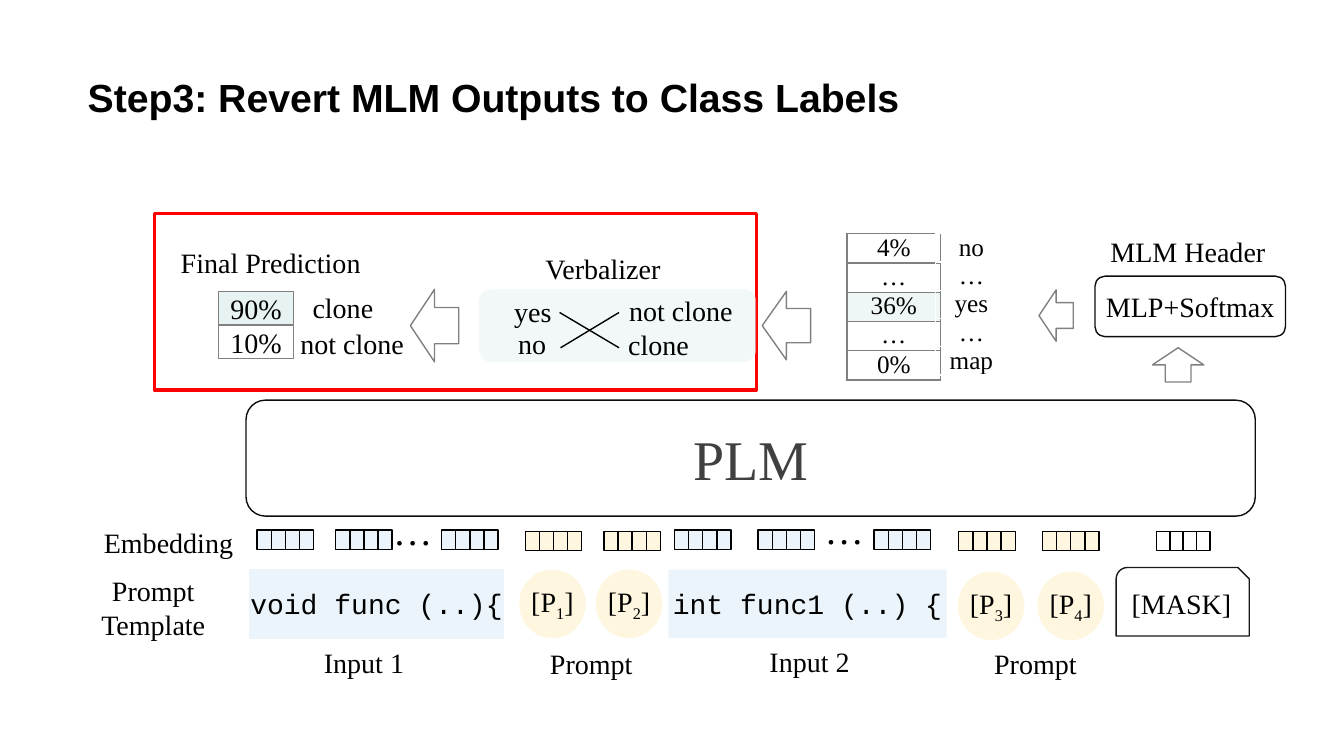
from dataclasses import dataclass

from lxml import etree
from pptx import Presentation
from pptx import util as u
from pptx.dml.color import RGBColor
from pptx.enum import shapes, text
from pptx.oxml.ns import qn

KIND = shapes.MSO_SHAPE
ALIGN = text.PP_ALIGN
ANCHOR = text.MSO_ANCHOR


@dataclass(frozen=True)
class Theme:
    serif: str = "Times New Roman"
    sans: str = "Arial"
    mono: str = "Courier New"
    title: int = 28
    model: int = 40
    body: int = 20
    table: int = 18
    black: str = "000000"
    model_text: str = "404040"
    outline: str = "0D0D0D"
    mask_line: str = "181818"
    gray: str = "808080"
    red: str = "FF0000"
    mint: str = "E7F3F2"
    yes_mint: str = "CEE7E4"
    blue: str = "EBF4FA"
    cream: str = "FEF6DF"


class DiagramSlide:
    def __init__(self, presentation, theme):
        self.theme = theme
        self.slide = presentation.slides.add_slide(presentation.slide_layouts[5])

    def set_format(self, target, values):
        for name, value in values.items():
            setattr(target, name, value)

    def set_alpha(self, fill, percent):
        color = fill._xPr.find(qn("a:solidFill"))[0]
        etree.SubElement(color, qn("a:alpha")).set("val", str(percent * 1000))

    def paint(self, fill, color, alpha=None):
        if color is None:
            fill.background()
            return
        fill.solid()
        fill.fore_color.rgb = RGBColor.from_string(color)
        if alpha:
            self.set_alpha(fill, alpha)

    def fill_text(self, frame, content, size=None, font=None, color=None, align=ALIGN.CENTER,
                  bold=False, insets=(0, 0), subscript=None, **frame_format):
        across, down = (u.Inches(inset) for inset in insets)
        self.set_format(frame, {
            "margin_left": across, "margin_right": across,
            "margin_top": down, "margin_bottom": down,
            "auto_size": text.MSO_AUTO_SIZE.NONE, **frame_format})
        paragraph = frame.paragraphs[0]
        paragraph.alignment = align
        self.set_format(paragraph.font, {
            "size": u.Pt(size or self.theme.body), "name": font or self.theme.serif, "bold": bold})
        paragraph.font.color.rgb = RGBColor.from_string(color or self.theme.black)
        for piece in content.partition(subscript) if subscript else (content,):
            run = paragraph.add_run()
            run.text = piece
            if piece == subscript:
                run._r.get_or_add_rPr().set("baseline", "-25000")
        return paragraph

    def title(self, box, content):
        shape = self.slide.shapes.title
        self.set_format(shape, dict(zip(("left", "top", "width", "height"), map(u.Inches, box))))
        paragraph = self.fill_text(shape.text_frame, content, self.theme.title, self.theme.sans,
                                   align=ALIGN.LEFT, bold=True, insets=(0.1, 0.05),
                                   vertical_anchor=ANCHOR.BOTTOM, word_wrap=True)
        paragraph.line_spacing = 1.5

    def label(self, box, content, anchor=ANCHOR.TOP, **style):
        shape = self.slide.shapes.add_textbox(*map(u.Inches, box))
        self.fill_text(shape.text_frame, content, vertical_anchor=anchor, word_wrap=True, **style)

    def shape(self, kind, box, content=None, fill=None, line=None, weight=1, alpha=None,
              rotation=0, **style):
        shape = self.slide.shapes.add_shape(kind, *map(u.Inches, box))
        shape.shadow.inherit = False
        shape.rotation = rotation
        self.paint(shape.fill, fill, alpha)
        self.paint(shape.line.fill, line)
        if line:
            shape.line.width = u.Pt(weight)
        if content:
            self.fill_text(shape.text_frame, content, vertical_anchor=ANCHOR.MIDDLE,
                           word_wrap=False, **style)
        return shape

    def line(self, start, end):
        connector = self.slide.shapes.add_connector(
            shapes.MSO_CONNECTOR.STRAIGHT, *map(u.Inches, (*start, *end)))
        self.paint(connector.line.fill, self.theme.black)
        connector.line.width = u.Pt(1)
        etree.SubElement(connector._element.spPr, qn("a:effectLst"))
        return connector

    def embedding(self, left, top, fill, width=0.56, height=0.19, cells=4):
        strip = self.shape(KIND.RECTANGLE, (left, top, width, height), fill=fill,
                           line=self.theme.black)
        for index in range(1, cells):
            x = left + width * index / cells
            divider = self.line((x, top), (x, top + height))
            if 2 * index == cells:
                divider.begin_connect(strip, 0)
                divider.end_connect(strip, 2)

    def border(self, cell):
        properties = cell._tc.get_or_add_tcPr()
        for index, side in enumerate(("lnL", "lnR", "lnT", "lnB")):
            edge = etree.Element(qn(f"a:{side}"), w=str(u.Pt(1)))
            solid = etree.SubElement(edge, qn("a:solidFill"))
            etree.SubElement(solid, qn("a:srgbClr"), val=self.theme.gray)
            properties.insert(index, edge)

    def column_table(self, box, values, row_height, bordered=False, highlight=None):
        table = self.slide.shapes.add_table(len(values), 1, *map(u.Inches, box)).table
        self.set_format(table, {"first_row": False, "horz_banding": False})
        for index, value in enumerate(values):
            table.rows[index].height = u.Inches(row_height)
            cell = table.cell(index, 0)
            self.set_format(cell, dict.fromkeys(
                ("margin_left", "margin_right", "margin_top", "margin_bottom"), 0))
            paragraph = cell.text_frame.paragraphs[0]
            paragraph.text = value
            paragraph.alignment = ALIGN.CENTER
            self.set_format(paragraph.font,
                            {"size": u.Pt(self.theme.table), "name": self.theme.serif})
            paragraph.font.color.rgb = RGBColor.from_string(self.theme.black)
            if index == highlight:
                self.paint(cell.fill, self.theme.yes_mint, 31)
            else:
                self.paint(cell.fill, None)
            if bordered:
                self.border(cell)


def main():
    presentation = Presentation()
    presentation.slide_width = u.Inches(13.33)
    presentation.slide_height = u.Inches(7.5)
    theme = Theme()
    diagram = DiagramSlide(presentation, theme)
    diagram.title((0.77, 0.48, 9.31, 0.76), "Step3: Revert MLM Outputs to Class Labels")
    diagram.shape(KIND.RECTANGLE, (1.53, 2.12, 5.97, 1.75), line=theme.red, weight=2.25)

    diagram.column_table((8.4, 2.32, 0.93, 1.45), ("4%", "…", "36%", "…", "0%"), 0.29, True, 2)
    diagram.column_table((9.28, 2.32, 0.71, 1.4), ("no", "…", "yes", "…", "map"), 0.28)
    diagram.shape(KIND.ROUNDED_RECTANGLE, (10.86, 2.74, 1.89, 0.6), "MLP+Softmax",
                  line=theme.outline)
    diagram.label((10.49, 2.28, 2.16, 0.44), "MLM Header", align=ALIGN.RIGHT, insets=(0.1, 0.05))

    diagram.shape(KIND.ROUNDED_RECTANGLE, (4.75, 2.87, 2.75, 0.72), fill=theme.mint, alpha=53)
    diagram.label((1.39, 2.33, 2.59, 0.55), "Final Prediction", ANCHOR.MIDDLE)
    for top, share, fill in ((2.89, "90%", theme.mint), (3.23, "10%", None)):
        diagram.shape(KIND.RECTANGLE, (2.17, top, 0.74, 0.33), share, fill, theme.gray)
    for *box, rotation in ((10.22, 2.96, 0.51, 0.34, 270), (11.43, 3.45, 0.51, 0.34, 0),
                           (3.95, 2.99, 0.72, 0.48, 270), (7.46, 2.99, 0.68, 0.48, 270)):
        diagram.shape(KIND.UP_ARROW, box, line=theme.gray, rotation=rotation)
    diagram.label((5.12, 2.45, 1.72, 0.45), "Verbalizer", insets=(0.1, 0.05))
    for left, top, width, word in ((3.1, 2.88, 0.77, "clone"), (2.98, 3.24, 1.4, "not clone"),
                                   (5.1, 2.92, 0.5, "yes"), (6.24, 2.91, 1.27, "not clone"),
                                   (5.14, 3.24, 0.46, "no"), (6.23, 3.25, 0.89, "clone")):
        diagram.label((left, top, width, 0.33), word, align=ALIGN.LEFT)
    diagram.line((5.55, 3.1), (6.14, 3.45))
    diagram.line((5.56, 3.45), (6.14, 3.1))

    diagram.shape(KIND.ROUNDED_RECTANGLE, (2.44, 3.97, 10.01, 1.15), "PLM", line=theme.outline,
                  size=theme.model, color=theme.model_text)
    for left, top in ((3.8, 4.97), (8.08, 4.96)):
        diagram.label((left, top, 0.31, 0.68), "…", size=theme.title, align=ALIGN.LEFT,
                      insets=(0.1, 0.05))
    for left, width, code, line in ((2.48, 2.51, "void func (..){", theme.blue),
                                    (6.63, 2.76, "int func1 (..) {", None)):
        diagram.shape(KIND.RECTANGLE, (left, 5.65, width, 0.68), code, theme.blue, line,
                      font=theme.mono, insets=(0, 0.05))
    for number, (left, top) in enumerate(
            ((5.15, 5.65), (5.91, 5.65), (9.5, 5.67), (10.29, 5.67)), 1):
        diagram.shape(KIND.OVAL, (left, top, 0.66, 0.68), f"[P{number}]", theme.cream,
                      subscript=str(number))
    diagram.shape(KIND.SNIP_ROUND_RECTANGLE, (11.07, 5.63, 1.32, 0.68), "[MASK]",
                  line=theme.mask_line)
    for left, top, width, caption in ((2.94, 6.35, 1.34, "Input 1"), (5.15, 6.36, 1.43, "Prompt"),
                                      (7.36, 6.34, 1.34, "Input 2"), (9.5, 6.36, 1.54, "Prompt")):
        diagram.label((left, top, width, 0.52), caption, insets=(0.1, 0.05))

    for fill, top, lefts in ((theme.blue, 5.26, (2.55, 3.33, 4.38, 6.69, 7.52, 8.67)),
                             (theme.cream, 5.27, (5.21, 5.99, 9.51, 10.34))):
        for left in lefts:
            diagram.embedding(left, top, fill)
    diagram.embedding(11.47, 5.27, None, 0.53)
    diagram.label((1.03, 5.21, 1.6, 0.4), "Embedding", align=ALIGN.LEFT)
    diagram.label((0.73, 5.69, 1.58, 0.8), "Prompt Template")
    presentation.save("out.pptx")


if __name__ == "__main__":
    main()
